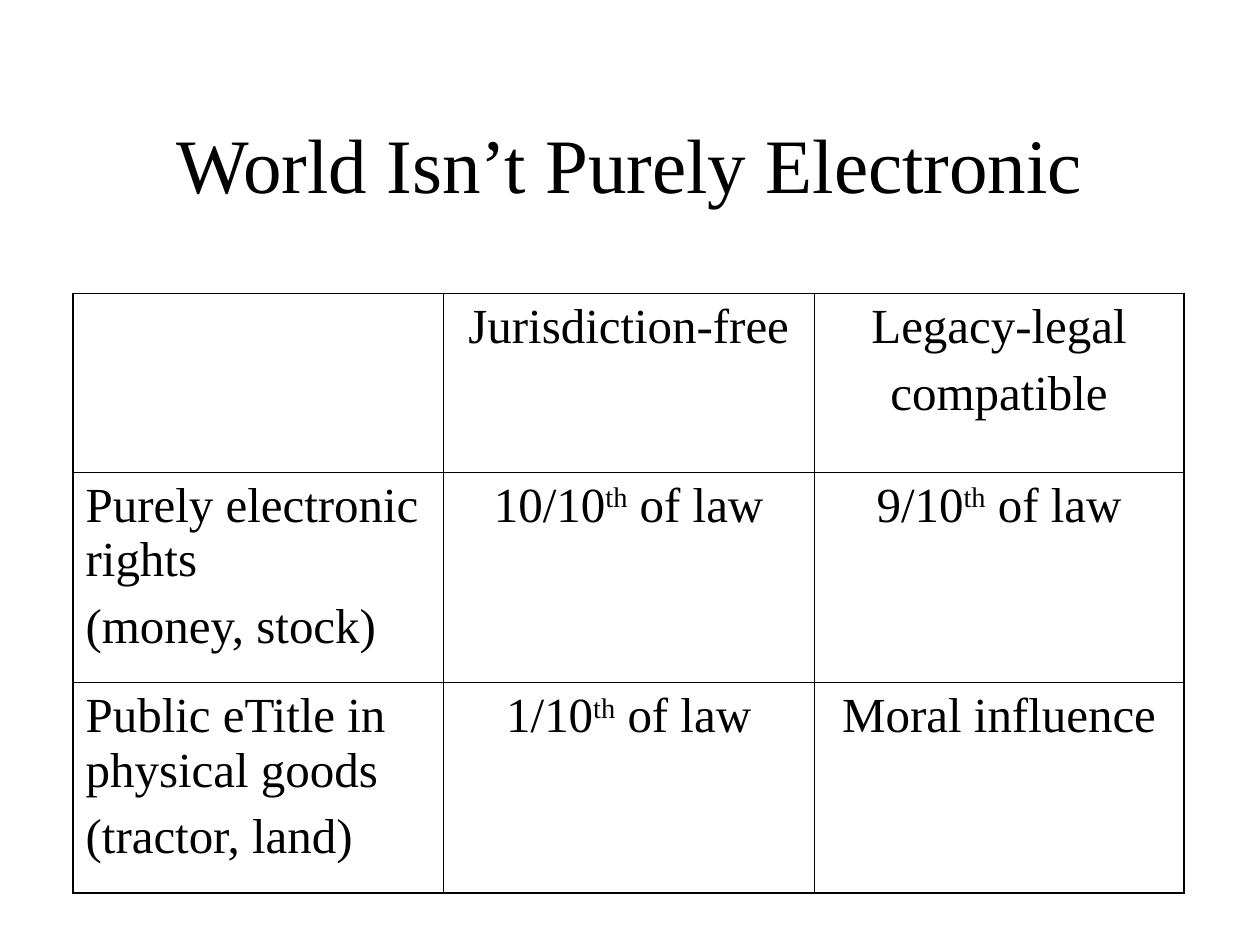
from dataclasses import dataclass

import pptx
import pptx.dml.color
import pptx.enum.text
import pptx.oxml
import pptx.oxml.ns
import pptx.util
from pptx.util import Inches

ALIGN = pptx.enum.text.PP_ALIGN


@dataclass(frozen=True)
class Theme:
    font: str = "Times New Roman"
    ink: str = "000000"
    paper: str = "FFFFFF"
    title_size: float = 44
    table_size: float = 28
    space_before: float = 7
    outer_line: float = 1.08
    inner_line: float = 0.45


THEME = Theme()
TITLE = "World Isn’t Purely Electronic"
# One list of paragraphs per cell; text between carets is superscript.
RIGHTS_ROWS = [
    [[], ["Jurisdiction-free"], ["Legacy-legal", "compatible"]],
    [["Purely electronic rights", "(money, stock)"],
     ["10/10^th^ of law"], ["9/10^th^ of law"]],
    [["Public eTitle in physical goods", "(tractor, land)"],
     ["1/10^th^ of law"], ["Moral influence"]],
]
COLUMN_WIDTH = 2.94
ROW_HEIGHTS = [1.42, 1.67, 1.67]


def rgb(value):
    return pptx.dml.color.RGBColor.from_string(value)


def add_runs(paragraph, text, size):
    """Add the text run by run, raising each part between carets."""
    for index, part in enumerate(text.split("^")):
        run = paragraph.add_run()
        run.text = part
        run.font.name = THEME.font
        run.font.size = pptx.util.Pt(size)
        run.font.color.rgb = rgb(THEME.ink)
        if index % 2:
            run.font._element.set("baseline", "30000")


def add_border(cell, side, width):
    namespace = pptx.oxml.ns.nsdecls("a")
    line = pptx.oxml.parse_xml(
        f'<a:ln{side} {namespace} w="{pptx.util.Pt(width)}"><a:solidFill>'
        f'<a:srgbClr val="{THEME.ink}"/></a:solidFill></a:ln{side}>')
    cell._tc.get_or_add_tcPr().append(line)


def fill_cell(cell, lines, alignment):
    cell.margin_left = cell.margin_right = Inches(0.1)
    cell.margin_top = cell.margin_bottom = Inches(0.05)
    for index, line in enumerate(lines):
        frame = cell.text_frame
        paragraph = frame.add_paragraph() if index else frame.paragraphs[0]
        paragraph.alignment = alignment
        paragraph.space_before = pptx.util.Pt(THEME.space_before)
        add_runs(paragraph, line, THEME.table_size)


def add_title(slide):
    title = slide.shapes.title
    title.left, title.top = Inches(0.75), Inches(0.67)
    title.width, title.height = Inches(8.5), Inches(1.25)
    frame = title.text_frame
    frame.vertical_anchor = pptx.enum.text.MSO_ANCHOR.MIDDLE
    frame.paragraphs[0].alignment = ALIGN.CENTER
    add_runs(frame.paragraphs[0], TITLE, THEME.title_size)


def add_rights_table(slide):
    row_count, column_count = len(RIGHTS_ROWS), len(RIGHTS_ROWS[0])
    table = slide.shapes.add_table(
        row_count, column_count, Inches(0.58), Inches(2.33),
        Inches(COLUMN_WIDTH * column_count), Inches(sum(ROW_HEIGHTS))).table
    table.first_row = table.horz_banding = False
    for column in table.columns:
        column.width = Inches(COLUMN_WIDTH)
    for r, (height, contents) in enumerate(zip(ROW_HEIGHTS, RIGHTS_ROWS)):
        table.rows[r].height = Inches(height)
        for c, lines in enumerate(contents):
            cell = table.cell(r, c)
            fill_cell(cell, lines, ALIGN.CENTER if c else ALIGN.LEFT)
            on_edge = {"L": c == 0, "R": c == column_count - 1,
                       "T": r == 0, "B": r == row_count - 1}
            for side, outer in on_edge.items():
                add_border(cell, side,
                           THEME.outer_line if outer else THEME.inner_line)
            cell.fill.background()


def main():
    deck = pptx.Presentation()
    deck.slide_width, deck.slide_height = Inches(10), Inches(7.5)
    slide = deck.slides.add_slide(deck.slide_layouts.get_by_name("Title Only"))
    slide.background.fill.solid()
    slide.background.fill.fore_color.rgb = rgb(THEME.paper)
    add_title(slide)
    add_rights_table(slide)
    deck.save("out.pptx")


if __name__ == "__main__":
    main()
